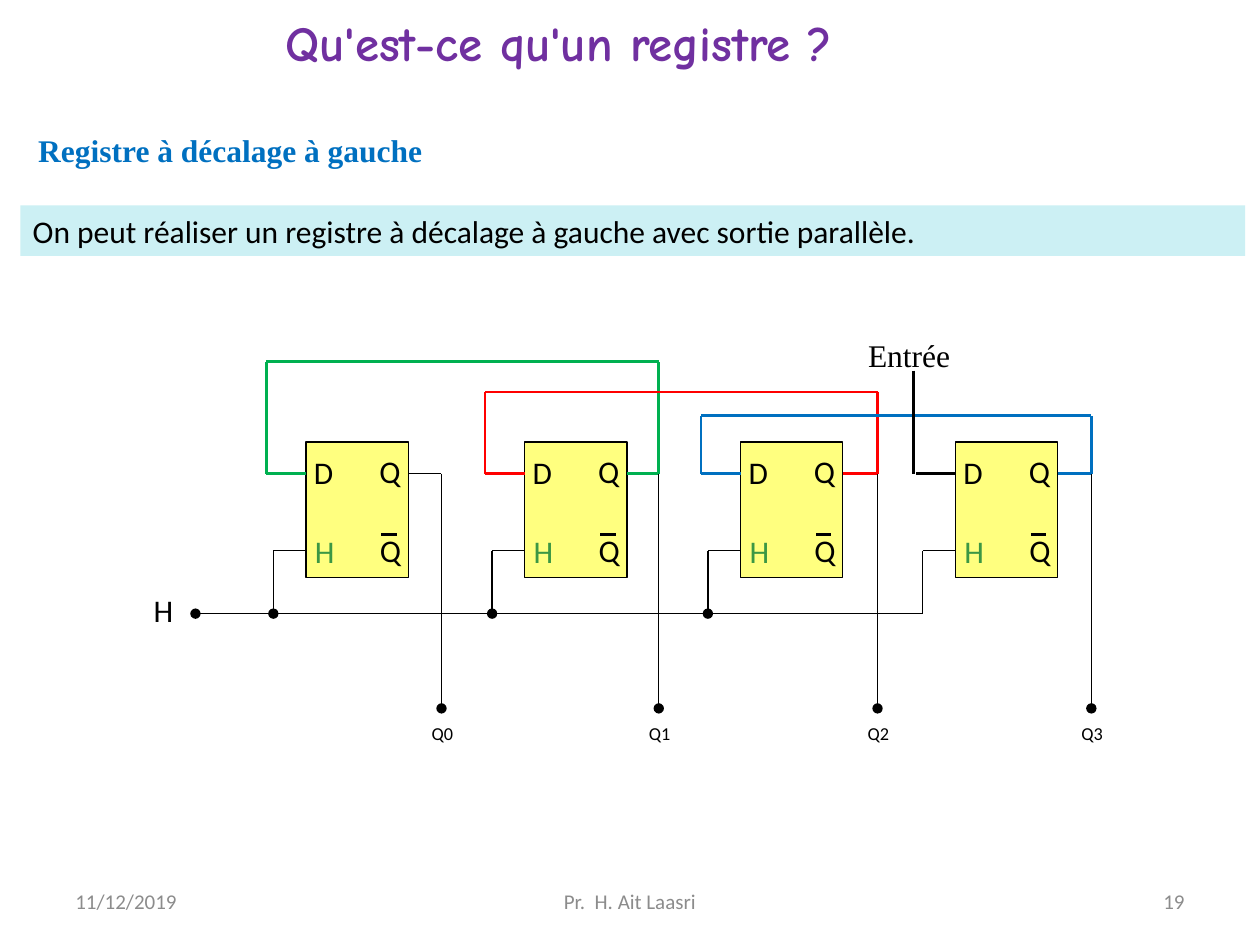
from dataclasses import dataclass
from pptx import Presentation
from pptx import util as u
from pptx.dml import color
from pptx.enum import shapes, text
from pptx.oxml import ns
from lxml import etree


@dataclass
class Theme:
    ink: str = "000000"
    green: str = "00B050"
    red: str = "FF0000"
    blue: str = "0070C0"
    violet: str = "7030A0"
    clock: str = "3B9744"
    cell: str = "FFFF00"
    band: str = "CCF0F4"
    grey: str = "8C8C8C"
    body: str = "Calibri"
    serif: str = "Times New Roman"
    comic: str = "Comic Neue"
    big: int = 28
    mid: int = 18
    small: int = 12
    thin: float = 0.75
    bold: float = 1.5


T = Theme()
LEFT, MID, RIGHT = text.PP_ALIGN.LEFT, text.PP_ALIGN.CENTER, text.PP_ALIGN.RIGHT
TOP, CENTRE = text.MSO_ANCHOR.TOP, text.MSO_ANCHOR.MIDDLE

deck = Presentation()
deck.slide_width, deck.slide_height = u.Cm(25.4), u.Cm(19.05)
slide = deck.slides.add_slide(deck.slide_layouts[6])


def rgb(hue):
    return color.RGBColor.from_string(hue)


def sub(node, tag, **attrs):
    return etree.SubElement(node, ns.qn(tag), **attrs)


def write(shape, words, hue=T.ink, size=T.mid, font=T.body, bold=False,
          align=LEFT, anchor=TOP, inset=True, wrap=True, grow=True):
    frame = shape.text_frame
    frame.text = words
    frame.word_wrap = wrap
    frame.vertical_anchor = anchor
    if grow:
        frame.auto_size = text.MSO_AUTO_SIZE.SHAPE_TO_FIT_TEXT
    if not inset:
        frame.margin_left = frame.margin_right = 0
        frame.margin_top = frame.margin_bottom = 0
    para = frame.paragraphs[0]
    para.alignment = align
    run = para.runs[0].font
    run.name, run.size, run.bold = font, u.Pt(size), bold
    run.color.rgb = rgb(hue)
    return run


def label(box, words, **style):
    return write(slide.shapes.add_textbox(*map(u.Cm, box)), words, **style)


def tag(x, y, words, w=0.33, h=0.76, anchor=CENTRE, **style):
    return label((x, y, w, h), words, anchor=anchor, inset=False, **style)


def rect(box, hue):
    shape = slide.shapes.add_shape(shapes.MSO_SHAPE.RECTANGLE, *map(u.Cm, box))
    shape.shadow.inherit = False
    shape.fill.solid()
    shape.fill.fore_color.rgb = rgb(hue)
    return shape


def wire(points, hue=T.ink, width=T.thin, dot=False):
    for start, end in zip(points, points[1:]):
        line = slide.shapes.add_connector(
            shapes.MSO_CONNECTOR.STRAIGHT, *map(u.Cm, start + end))
        line.line.color.rgb = rgb(hue)
        line.line.width = u.Pt(width)
        props = line._element.spPr
        if dot and end == points[-1]:
            sub(props.find(ns.qn("a:ln")), "a:tailEnd", type="oval")
        sub(props, "a:effectLst")


def header(x, y):
    label((x + 5.1, y, 13.74, 1.45), "Qu'est-ce qu'un registre ?", hue=T.violet,
          size=T.big, font=T.comic, bold=True, wrap=False)
    label((x + 0.07, y + 2.4, 8.33, 1.02), "Registre à décalage à gauche",
          hue=T.blue, font=T.serif, bold=True, align=MID, wrap=False)
    band = rect((x, y + 4.02, 24.69, 1.02), T.band)
    band.line.fill.background()
    write(band, "On peut réaliser un registre à décalage à gauche "
                "avec sortie parallèle.")


def flip(x, y, into, out, exit, bus, last):
    box = rect((x, y, 2.06, 2.74), T.cell)
    box.line.color.rgb = rgb(T.ink)
    box.line.width = u.Pt(T.thin)
    sub(box.fill._xPr.find(ns.qn("a:solidFill"))[0], "a:alpha", val="50000")
    tag(x + 0.18, y + 1.81, "H", hue=T.clock)
    tag(x + 1.48, y + 0.2, "Q")
    tag(x + 1.49, y + 1.8, "Q")
    tag(x + 0.16, y + 0.23, "D")
    wire([(x + 1.52, y + 1.87), (x + 1.83, y + 1.87)], width=T.bold)
    wire([(x, y + 0.64), (x - 0.8, y + 0.64)], into, T.bold)
    wire([(x, y + 2.19), (x - 0.66, y + 2.19), (x - 0.66, bus)], dot=not last)
    wire([(x + 2.06, y + 0.64), (exit, y + 0.64)], out,
         T.thin if out == T.ink else T.bold)


def register(x, y):
    cells = [x + dx for dx in (2.23, 6.64, 10.99, 15.32)]
    exits = [x + dx for dx in (4.96, 9.34, 13.75, 18.06)]
    hues = [T.ink, T.green, T.red, T.blue, T.ink]
    rails = [y + dy for dy in (0.51, 1.12, 1.6)]
    top, bus, foot = y + 2.13, y + 5.59, y + 7.5
    pin = top + 0.64
    wire([(cells[-1] - 0.66, bus), (x, bus)], dot=True)
    for i, (left, exit) in enumerate(zip(cells, exits)):
        flip(left, top, hues[i + 1], hues[i], exit, bus, i == 3)
        wire([(exit, pin), (exit, foot)], dot=True)
        run = tag(exit - 0.2, foot + 0.03, f"Q{i}", w=1.09, h=0.51)
        run._element.set("baseline", "-25000")
    for left, exit, rail, hue in zip(cells, exits[1:], rails, hues[1:]):
        end = left - 0.8
        wire([(exit, pin), (exit, rail), (end, rail), (end, pin)], hue, T.bold)
    entry = cells[-1] - 0.84
    wire([(entry, y + 0.69), (entry, pin)], width=T.bold)
    tag(entry - 0.92, y, "Entrée", w=2.01, font=T.serif)
    tag(x - 0.84, bus - 0.46, "H", w=0.53, anchor=TOP)


def footer(x, y):
    for dx, width, words, align in ((0, 5.93, "11/12/2019", LEFT),
                                    (7.41, 8.04, "Pr.  H. Ait Laasri", MID),
                                    (16.93, 5.93, "19", RIGHT)):
        label((x + dx, y, width, 1.01), words, hue=T.grey, size=T.small,
              align=align, anchor=CENTRE, grow=False)


header(0.41, 0.12)
register(3.94, 6.78)
footer(1.27, 17.66)
deck.save("out.pptx")
